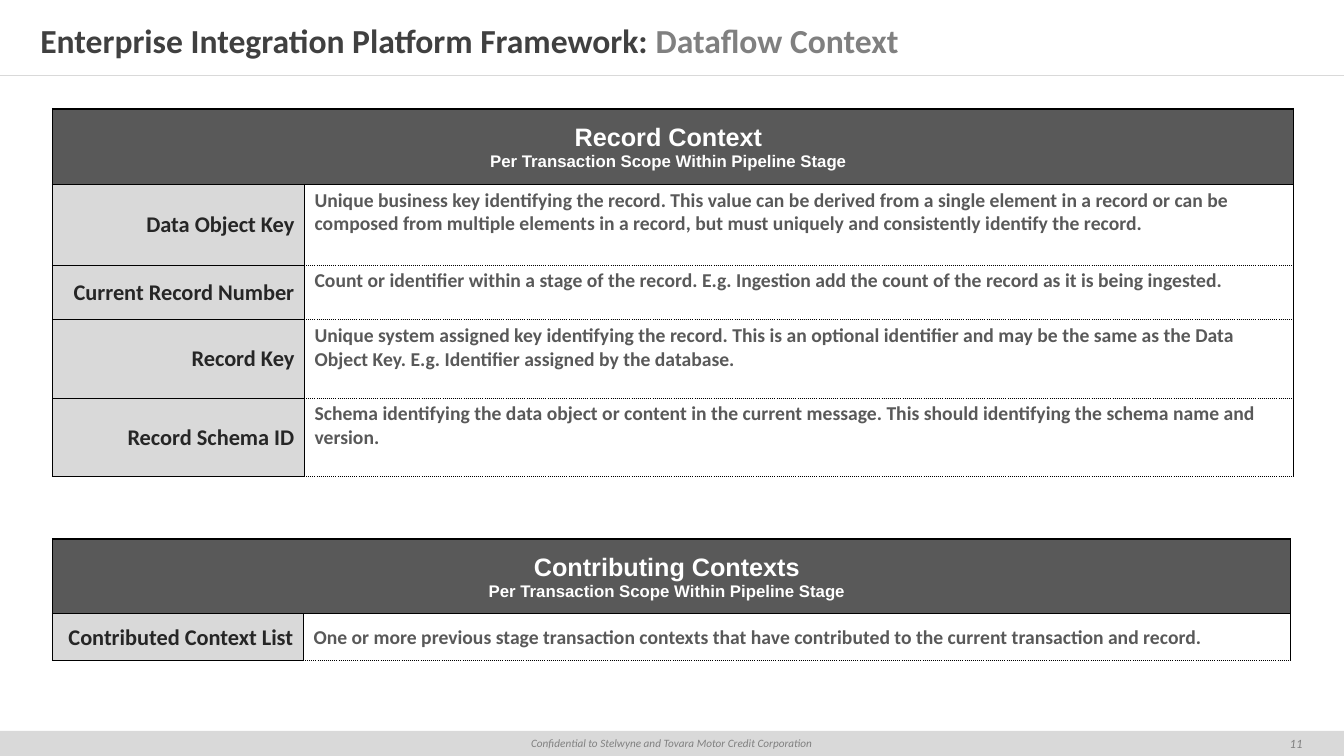
from dataclasses import dataclass

from lxml.etree import SubElement
from pptx import Presentation
from pptx.dml.color import RGBColor
from pptx.enum.shapes import MSO_CONNECTOR, MSO_SHAPE
from pptx.enum.text import MSO_ANCHOR, MSO_AUTO_SIZE, PP_ALIGN
from pptx.oxml.ns import qn
from pptx.util import Inches, Pt

COLORS = {
    "white": "FFFFFF", "black": "000000", "header": "595959", "label": "D9D9D9",
    "label_text": "262626", "title": "404040", "muted": "808080",
}
FONTS = {
    "title": {"name": "Calibri", "size": Pt(24), "bold": True},
    "heading": {"name": "Arial", "size": Pt(18), "bold": True},
    "scope": {"name": "Arial", "size": Pt(12), "bold": True},
    "label": {"name": "Calibri", "size": Pt(16), "bold": True},
    "description": {"name": "Calibri", "size": Pt(14), "bold": True},
    "notice": {"name": "Calibri", "size": Pt(8), "bold": False, "italic": True},
    "page": {"name": "Calibri", "size": Pt(9), "bold": False, "italic": True},
}
SOLID = (1, "solid")
THICK = (1.5, "solid")
DOTTED = (0.5, "sysDot")


@dataclass
class Field:
    label: str
    description: str
    height: float


@dataclass
class Context:
    heading: str
    top: float
    header_height: float
    widths: tuple[float, float]
    fields: list[Field]
    anchor: MSO_ANCHOR


SCOPE = "Per Transaction Scope Within Pipeline Stage"
CONTEXTS = [
    Context("Record Context", 1.08, 0.75, (2.5, 9.81), [
        Field("Data Object Key", "Unique business key identifying the record. This value can be derived from a single element in a record or can be composed from multiple elements in a record, but must uniquely and consistently identify the record.", 0.8),
        Field("Current Record Number", "Count or identifier within a stage of the record. E.g. Ingestion add the count of the record as it is being ingested.", 0.54),
        Field("Record Key", "Unique system assigned key identifying the record. This is an optional identifier and may be the same as the Data Object Key. E.g. Identifier assigned by the database.", 0.78),
        Field("Record Schema ID", "Schema identifying the data object or content in the current message. This should identifying the schema name and version.", 0.78),
    ], MSO_ANCHOR.TOP),
    Context("Contributing Contexts", 5.35, 0.74, (2.49, 9.79), [
        Field("Contributed Context List", "One or more previous stage transaction contexts that have contributed to the current transaction and record.", 0.46),
    ], MSO_ANCHOR.MIDDLE),
]


def rgb(color: str) -> RGBColor:
    return RGBColor.from_string(COLORS[color])


def apply_format(target, values: dict) -> None:
    for attribute, value in values.items():
        setattr(target, attribute, value)


def write(paragraph, text: str, font: str, color: str, align=PP_ALIGN.LEFT) -> None:
    paragraph.alignment = align
    run = paragraph.add_run()
    run.text = text
    apply_format(run.font, FONTS[font])
    run.font.color.rgb = rgb(color)


def set_borders(cell, left, right, top, bottom) -> None:
    properties = cell._tc.get_or_add_tcPr()
    for side, (width, dash) in zip("LRTB", (left, right, top, bottom)):
        border = SubElement(properties, qn(f"a:ln{side}"), w=str(Pt(width)))
        fill = SubElement(border, qn("a:solidFill"))
        SubElement(fill, qn("a:srgbClr"), val=COLORS["black"])
        SubElement(border, qn("a:prstDash"), val=dash)


def style_cell(cell, fill: str, borders: tuple, left: float, right: float,
               top: float = 0.01, anchor=MSO_ANCHOR.MIDDLE) -> None:
    set_borders(cell, *borders)
    cell.fill.solid()
    cell.fill.fore_color.rgb = rgb(fill)
    apply_format(cell, {
        "margin_left": Inches(left), "margin_right": Inches(right),
        "margin_top": Inches(top), "margin_bottom": 0, "vertical_anchor": anchor,
    })


def add_context(slide, context: Context) -> None:
    heights = [context.header_height] + [field.height for field in context.fields]
    table = slide.shapes.add_table(
        len(heights), 2, Inches(0.52), Inches(context.top),
        Inches(sum(context.widths)), Inches(sum(heights))).table
    apply_format(table, {"first_row": False, "horz_banding": False})
    for column, width in zip(table.columns, context.widths):
        column.width = Inches(width)
    for row, height in zip(table.rows, heights):
        row.height = Inches(height)

    header = table.cell(0, 0)
    header.merge(table.cell(0, 1))
    for cell in table.rows[0].cells:
        style_cell(cell, "header", (SOLID, SOLID, THICK, SOLID), 0.01, 0.1)
    frame = header.text_frame
    write(frame.paragraphs[0], context.heading, "heading", "white", PP_ALIGN.CENTER)
    write(frame.add_paragraph(), SCOPE, "scope", "white", PP_ALIGN.CENTER)

    description_top = 0.04 if context.anchor == MSO_ANCHOR.TOP else 0.01
    for index, field in enumerate(context.fields, start=1):
        label, description = table.cell(index, 0), table.cell(index, 1)
        style_cell(label, "label", (SOLID,) * 4, 0.01, 0.1)
        write(label.text_frame.paragraphs[0], field.label, "label", "label_text", PP_ALIGN.RIGHT)
        above = SOLID if index == 1 else DOTTED
        style_cell(description, "white", (SOLID, SOLID, above, DOTTED), 0.1, 0.01,
                   description_top, context.anchor)
        write(description.text_frame.paragraphs[0], field.description, "description", "header")


def add_title(slide) -> None:
    title = slide.shapes.title
    apply_format(title, {"left": 0, "top": Inches(0.16),
                         "width": Inches(13.33), "height": Inches(0.48)})
    apply_format(title.text_frame, {
        "margin_left": Inches(0.4), "margin_right": Inches(0.4),
        "margin_top": 0, "margin_bottom": 0, "word_wrap": True,
        "auto_size": MSO_AUTO_SIZE.NONE, "vertical_anchor": MSO_ANCHOR.MIDDLE,
    })
    paragraph = title.text_frame.paragraphs[0]
    write(paragraph, "Enterprise Integration Platform Framework: ", "title", "title")
    write(paragraph, "Dataflow Context", "title", "muted")

    rule = slide.shapes.add_connector(
        MSO_CONNECTOR.STRAIGHT, 0, Inches(0.75), Inches(13.33), Inches(0.75))
    rule.line.color.rgb = rgb("label")
    rule.line.width = Pt(0.25)
    SubElement(rule._element.spPr, qn("a:effectLst"))


def add_footer(slide) -> None:
    bar = slide.shapes.add_shape(
        MSO_SHAPE.RECTANGLE, 0, Inches(7.25), Inches(13.33), Inches(0.25))
    bar.shadow.inherit = False
    bar.fill.solid()
    bar.fill.fore_color.rgb = rgb("label")
    bar.line.fill.background()
    page = slide.shapes.add_textbox(Inches(12.5), Inches(7.25), Inches(0.71), Inches(0.25))
    notice_text = "Confidential to Stelwyne and Tovara Motor Credit Corporation"
    for shape, text, font in ((bar, notice_text, "notice"), (page, "11", "page")):
        apply_format(shape.text_frame, {
            "margin_top": 0, "margin_bottom": 0, "word_wrap": True,
            "vertical_anchor": MSO_ANCHOR.MIDDLE,
        })
        write(shape.text_frame.paragraphs[0], text, font, "muted", PP_ALIGN.CENTER)


def main() -> None:
    presentation = Presentation()
    presentation.slide_width = Inches(13.33)
    presentation.slide_height = Inches(7.5)
    slide = presentation.slides.add_slide(presentation.slide_layouts[5])
    add_title(slide)
    for context in CONTEXTS:
        add_context(slide, context)
    add_footer(slide)
    presentation.save("out.pptx")


if __name__ == "__main__":
    main()
